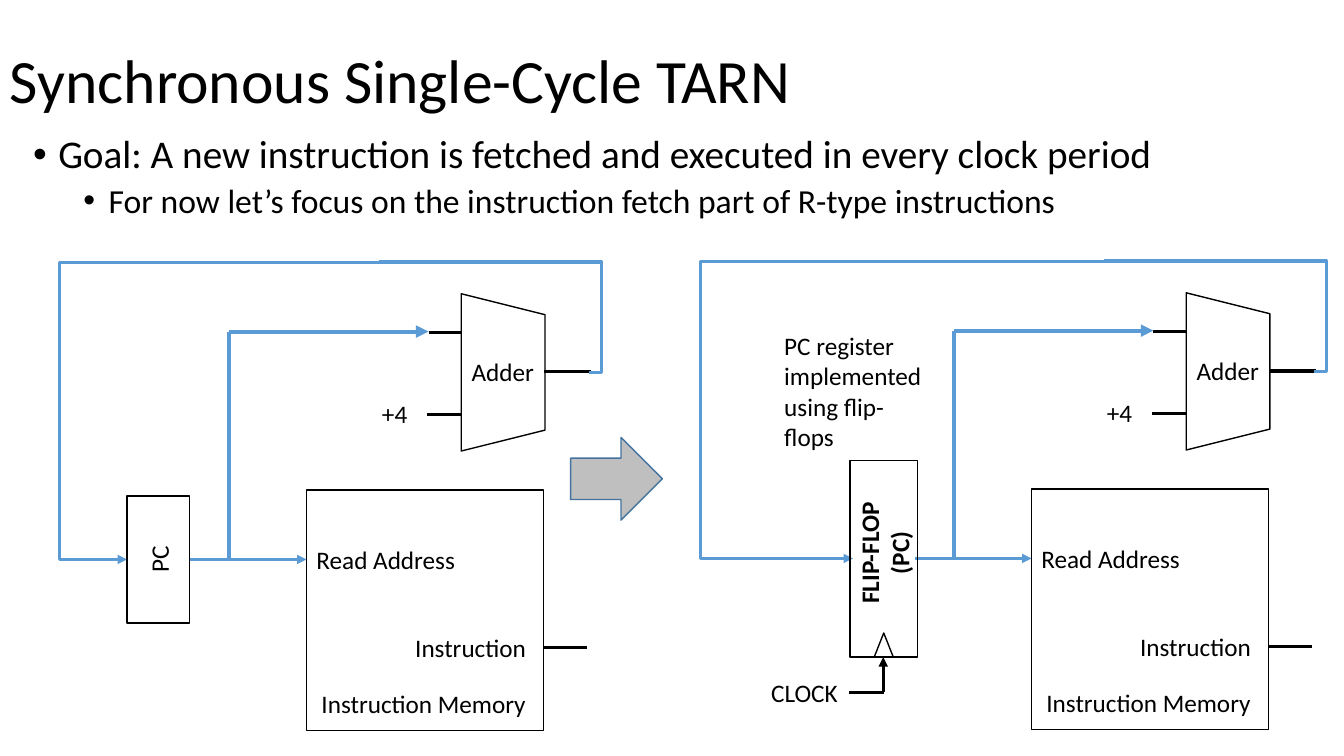
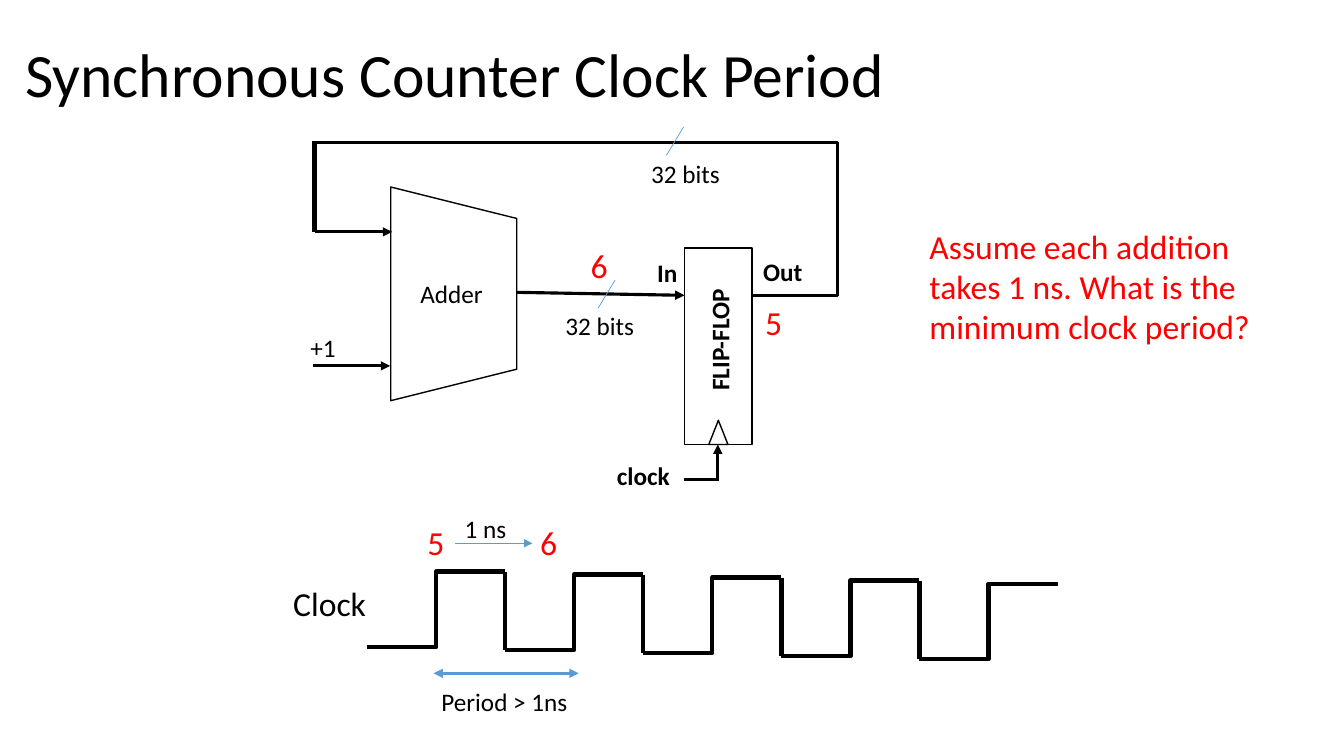
import pptx
import pptx.dml.color
import pptx.enum.shapes
import pptx.enum.text
import pptx.oxml
import pptx.oxml.ns
import pptx.util
from dataclasses import dataclass

PX = 9144  # EMU in one px, 100 px to the inch
KIND = pptx.enum.shapes.MSO_SHAPE
ALIGN = pptx.enum.text.PP_ALIGN
ANCHOR = pptx.enum.text.MSO_ANCHOR


@dataclass(frozen=True)
class Theme:
    font: str = "Calibri"
    black: str = "000000"
    blue: str = "5B9BD5"
    red: str = "FF0000"
    arrow_fill: str = "BFBFBF"
    arrow_line: str = "43739E"
    title: int = 44
    body: int = 28
    large: int = 24
    label: int = 18
    outline: float = 1
    wire: float = 2.25
    thick: float = 3
    thin: float = 0.5


theme = Theme()


def add_text(slide, box, text, size=theme.label, color=theme.black,
             bold=False, wrap=False, rotation=0, align=ALIGN.LEFT):
    shape = slide.shapes.add_textbox(*(value * PX for value in box))
    shape.rotation = rotation
    frame = shape.text_frame
    frame.word_wrap = wrap
    frame.text = text
    for paragraph in frame.paragraphs:
        paragraph.alignment = align
        paragraph.font.name = theme.font
        paragraph.font.size = pptx.util.Pt(size)
        paragraph.font.bold = bold
        paragraph.font.color.rgb = pptx.dml.color.RGBColor.from_string(color)
    return frame


def add_wire(slide, start, end, color=theme.black, width=theme.wire,
             ends=(), bend=None):
    """Straight wire, or an elbow whose vertical part stands at x = bend."""
    types = pptx.enum.shapes.MSO_CONNECTOR
    kind = types.STRAIGHT if bend is None else types.ELBOW
    wire = slide.shapes.add_connector(
        kind, *(value * PX for value in (*start, *end)))
    wire.line.color.rgb = pptx.dml.color.RGBColor.from_string(color)
    wire.line.width = pptx.util.Pt(width)
    properties = wire.element.spPr
    qn = pptx.oxml.ns.qn
    if bend is not None:
        ratio = round(100000 * (bend - start[0]) / (end[0] - start[0]))
        guides = properties.find(qn("a:prstGeom")).get_or_add_avLst()
        guide = guides.makeelement(
            qn("a:gd"), {"name": "adj1", "fmla": f"val {ratio}"})
        guides.append(guide)
    line = properties.find(qn("a:ln"))
    for end_name in ends:
        line.append(line.makeelement(qn(f"a:{end_name}"), {"type": "triangle"}))
    properties.append(properties.makeelement(qn("a:effectLst"), {}))


# Presentation and titles
presentation = pptx.Presentation()
presentation.slide_width = 1333 * PX
presentation.slide_height = 750 * PX
slides = []
for title, left, top in (("Synchronous Single-Cycle TARN", 0, 10),
                         ("Synchronous Counter Clock Period", 15, 4)):
    slide = presentation.slides.add_slide(presentation.slide_layouts[6])
    frame = add_text(slide, (left, top, 1150, 145), title, theme.title, wrap=True)
    frame.vertical_anchor = ANCHOR.MIDDLE
    frame.paragraphs[0].line_spacing = 0.9
    slides.append(slide)
fetch, counter = slides

# Bulleted goal
frame = add_text(
    fetch, (23, 129, 1150, 100),
    "Goal: A new instruction is fetched and executed in every clock period\n"
    "For now let’s focus on the instruction fetch part of R-type instructions",
    wrap=True)
levels = ((theme.body, 10, 25), (theme.large, 5, 75))
for paragraph, (size, before, margin) in zip(frame.paragraphs, levels):
    paragraph.font.size = pptx.util.Pt(size)
    paragraph.line_spacing = 0.9
    paragraph.space_before = pptx.util.Pt(before)
    properties = paragraph._p.get_or_add_pPr()
    properties.set("marL", str(margin * PX))
    properties.set("indent", str(-25 * PX))
    for tag, name, value in (("a:buFont", "typeface", "Arial"),
                             ("a:buChar", "char", "•")):
        properties.append(properties.makeelement(
            pptx.oxml.ns.qn(tag), {name: value}))

# Outlined shapes: slide, kind, box, rotation
outlines = [
    (fetch, KIND.RECTANGLE, (126, 492, 62, 126), 0),
    (counter, KIND.TRAPEZOID, (344, 229, 212, 125), 90),
]

# Fetch datapath, before and after the flip-flop is added:
# offset, left edge of the loop, input and output of the register
for dx, dy, loop_left, register_in, register_out in (
        (0, 0, 59, 126, 188), (719, -1, 695, 846, 908)):
    outlines += [
        (fetch, KIND.RECTANGLE, (304 + dx, 486 + dy, 235, 239), 0),
        (fetch, KIND.TRAPEZOID, (421 + dx, 328 + dy, 156, 83), 90),
    ]
    for text, left, top, width in (
            ("Read Address", 304, 535, 159), ("Instruction", 402, 622, 137),
            ("Instruction Memory", 309, 678, 225), ("Adder", 458, 349, 83),
            ("+4", 369, 390, 46)):
        add_text(fetch, (left + dx, top + dy, width, 40), text)
    for left, right, y in ((539, 582, 642), (540, 586, 369),
                           (425, 458, 330), (424, 457, 411)):
        add_wire(fetch, (left + dx, y + dy), (right + dx, y + dy))
    # Register to memory, with a branch up to the adder
    add_wire(fetch, (register_out, 555 + dy), (304 + dx, 555 + dy),
             theme.blue, ends=["tailEnd"])
    branch = (227 + dx, 329 + dy)
    add_wire(fetch, (227 + dx, 555 + dy), branch, theme.blue, theme.thick)
    add_wire(fetch, branch, (425 + dx, 329 + dy), theme.blue, theme.thick,
             ends=["tailEnd"])
    # Adder back to the register
    loop_top = (376 + dx, 260 + dy)
    add_wire(fetch, (584 + dx, 370 + dy), loop_top, theme.blue, bend=597 + dx)
    add_wire(fetch, loop_top, (register_in, 555 + dy), theme.blue,
             ends=["tailEnd"], bend=loop_left)

# Flip-flop with its clock input
for slide, left, top in ((fetch, 843, 457), (counter, 679, 246)):
    outlines += [
        (slide, KIND.RECTANGLE, (left, top, 67, 195), 0),
        (slide, KIND.ISOSCELES_TRIANGLE, (left + 24, top + 171, 19, 24), 0),
    ]
    add_wire(slide, (left - 1, top + 230), (left + 34, top + 230))
    add_wire(slide, (left + 33, top + 230), (left + 33, top + 195),
             ends=["tailEnd"])

for slide, kind, box, rotation in outlines:
    shape = slide.shapes.add_shape(kind, *(value * PX for value in box))
    shape.rotation = rotation
    shape.shadow.inherit = False
    shape.fill.background()
    shape.line.color.rgb = pptx.dml.color.RGBColor.from_string(theme.black)
    shape.line.width = pptx.util.Pt(theme.outline)

# Arrow between the two datapaths
arrow = fetch.shapes.add_shape(
    KIND.RIGHT_ARROW, *(value * PX for value in (566, 434, 91, 82)))
arrow.shadow.inherit = False
arrow.fill.solid()
arrow.fill.fore_color.rgb = pptx.dml.color.RGBColor.from_string(theme.arrow_fill)
arrow.line.color.rgb = pptx.dml.color.RGBColor.from_string(theme.arrow_line)
arrow.line.width = pptx.util.Pt(theme.outline)

# Register labels
add_text(fetch, (134, 534, 47, 40), "PC", rotation=270)
add_text(fetch, (816, 513, 123, 71), "FLIP-FLOP\n(PC)", bold=True,
         rotation=270, align=ALIGN.CENTER)
add_text(fetch, (755, 667, 87, 40), "CLOCK")
add_text(fetch, (768, 323, 166, 131),
         "PC register implemented using flip-flops", wrap=True)

# Counter wires
add_wire(counter, (512, 290), (679, 293), ends=["tailEnd"])
add_wire(counter, (310, 363), (387, 363), ends=["tailEnd"])
add_wire(counter, (746, 293), (310, 141), bend=831)
add_wire(counter, (312, 141), (312, 230), width=theme.thick)
add_wire(counter, (312, 230), (389, 230), ends=["tailEnd"])
for x, y in ((593, 306), (661, 154)):
    add_wire(counter, (x, y), (x + 17, y - 28), theme.blue, theme.thin)

# Counter labels
add_text(counter, (652, 316, 123, 40), "FLIP-FLOP", bold=True, rotation=270)
for text, left, top, width in (("clock", 602, 452, 73), ("In", 642, 250, 40),
                               ("Out", 747, 249, 59)):
    add_text(counter, (left, top, width, 40), text, bold=True)
for text, left, top, width in (
        ("Adder", 407, 271, 83), ("+1", 298, 325, 46),
        ("32 bits", 636, 152, 89), ("32 bits", 551, 303, 89),
        ("1 ns", 451, 504, 62), ("Period > 1ns", 428, 676, 147)):
    add_text(counter, (left, top, width, 40), text)
for text, left, top in (("5", 414, 513), ("5", 749, 295),
                        ("6", 526, 513), ("6", 576, 238)):
    add_text(counter, (left, top, 37, 50), text, theme.large, theme.red)
add_text(counter, (912, 219, 365, 131),
         "Assume each addition takes 1 ns. What is the minimum clock period?",
         theme.large, theme.red, wrap=True)

# Clock waveform, each cycle a little lower than the last
add_text(counter, (281, 573, 93, 50), "Clock", theme.large)
cycles, period, drop = 5, 137, 3
for cycle in range(cycles):
    left, right = 364 + cycle * period, 364 + (cycle + 1) * period
    low, high = 642 + cycle * drop, 567 + cycle * drop
    add_wire(counter, (left, low), (right, high), width=theme.thick,
             bend=(left + right) / 2)
    if cycle < cycles - 1:
        add_wire(counter, (right, high), (right, low + drop), width=theme.thick)

# Time spans
add_wire(counter, (451, 539), (528, 539), theme.blue, theme.thin, ["tailEnd"])
add_wire(counter, (430, 668), (574, 668), theme.blue,
         ends=["headEnd", "tailEnd"])

presentation.save("out.pptx")
